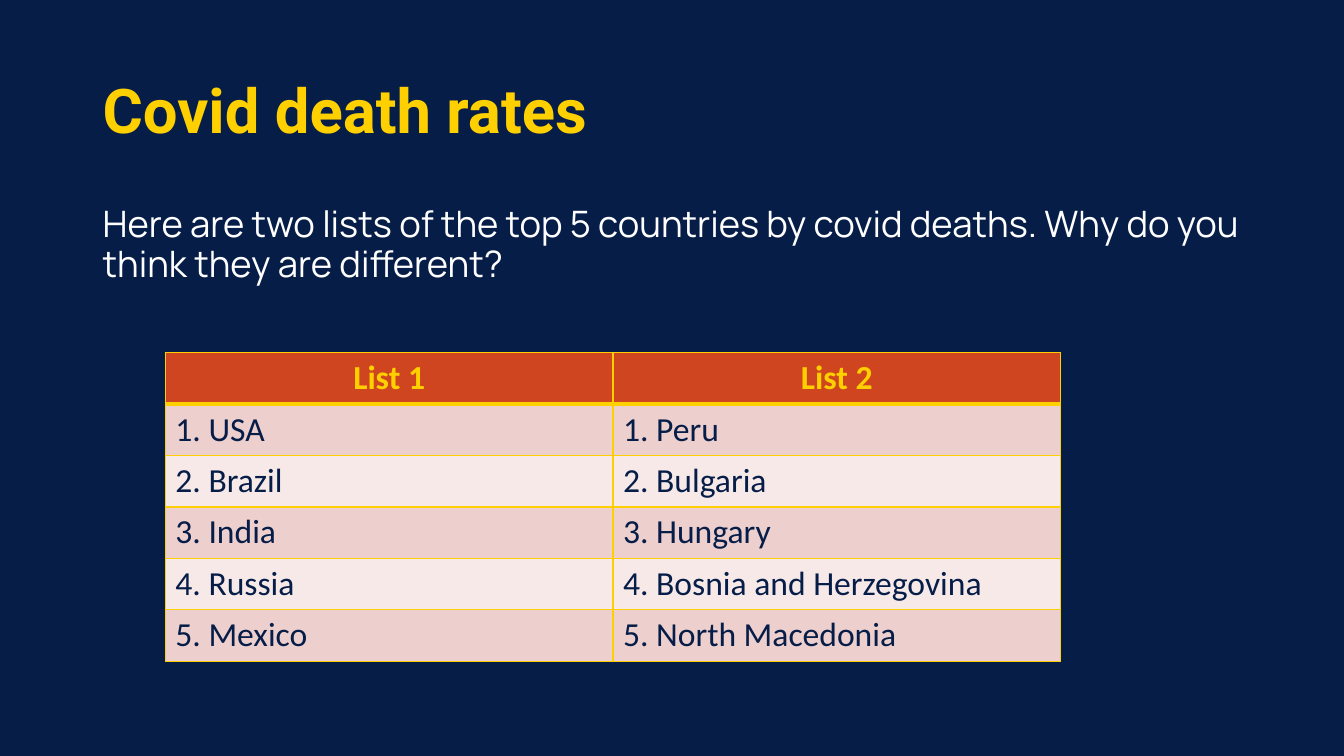
from lxml import etree
from pptx import Presentation
from pptx import util as u
from pptx.dml.color import RGBColor
from pptx.enum import text
from pptx.oxml.ns import qn

COLORS = {
    "navy": "061D48",
    "gold": "FFD000",
    "white": "FFFFFF",
    "header": "CF4520",
    "odd_row": "EDCFCD",
    "even_row": "F6E9E8",
}


def rgb(name):
    return RGBColor.from_string(COLORS[name])


class CovidSlide:
    """Holds the slide and the shared style of its elements."""

    table_font = "Calibri"
    table_size = 24
    border_color = "gold"

    def __init__(self, presentation):
        self.slide = presentation.slides.add_slide(presentation.slide_layouts[6])
        background = self.slide.background.fill
        background.solid()
        background.fore_color.rgb = rgb("navy")

    def style(self, paragraph, font, size, color, bold=False):
        for run in paragraph.runs:
            run.font.name = font
            run.font.size = u.Pt(size)
            run.font.bold = bold
            run.font.color.rgb = rgb(color)

    def text(self, words, top, height, anchor, font, size, color, bold=False):
        box = self.slide.shapes.add_textbox(
            u.Inches(0.92), u.Inches(top), u.Inches(11.5), u.Inches(height))
        frame = box.text_frame
        frame.word_wrap = True
        frame.vertical_anchor = anchor
        frame.text = words
        frame.paragraphs[0].line_spacing = 0.9
        self.style(frame.paragraphs[0], font, size, color, bold)

    def borders(self, cell, top, bottom):
        """Draw cell borders, 1 pt at the sides and as given above and below."""
        properties = cell._tc.get_or_add_tcPr()
        widths = {"a:lnL": 1, "a:lnR": 1, "a:lnT": top, "a:lnB": bottom}
        for position, (side, width) in enumerate(widths.items()):
            line = etree.Element(qn(side), w=str(u.Pt(width)))
            fill = etree.SubElement(line, qn("a:solidFill"))
            etree.SubElement(fill, qn("a:srgbClr"), val=COLORS[self.border_color])
            properties.insert(position, line)

    def table(self, rows, left, top, column_width, row_height):
        columns = len(rows[0])
        grid = self.slide.shapes.add_table(
            len(rows), columns, u.Inches(left), u.Inches(top),
            u.Inches(column_width * columns), u.Inches(row_height * len(rows))).table
        for row_number, row in enumerate(rows):
            is_header = row_number == 0
            if is_header:
                fill = "header"
            else:
                fill = "odd_row" if row_number % 2 else "even_row"
            for column_number, words in enumerate(row):
                cell = grid.cell(row_number, column_number)
                cell.text_frame.text = words
                paragraph = cell.text_frame.paragraphs[0]
                if is_header:
                    paragraph.alignment = text.PP_ALIGN.CENTER
                self.style(paragraph, self.table_font, self.table_size,
                           "gold" if is_header else "navy", is_header)
                cell.fill.solid()
                cell.fill.fore_color.rgb = rgb(fill)
                # The rows on both sides of the header rule share its width.
                self.borders(cell, top=3 if row_number == 1 else 1,
                             bottom=3 if is_header else 1)


def main():
    presentation = Presentation()
    presentation.slide_width = u.Inches(13.33)
    presentation.slide_height = u.Inches(7.5)

    covid = CovidSlide(presentation)
    covid.text("Covid death rates", 0.4, 1.45, text.MSO_ANCHOR.MIDDLE,
               "Roboto", 44, "gold", bold=True)
    covid.text("Here are two lists of the top 5 countries by covid deaths. "
               "Why do you think they are different?",
               2, 4.76, text.MSO_ANCHOR.TOP, "Manrope", 26, "white")

    list_1 = ["USA", "Brazil", "India", "Russia", "Mexico"]
    list_2 = ["Peru", "Bulgaria", "Hungary", "Bosnia and Herzegovina",
              "North Macedonia"]
    rows = [("List 1", "List 2")]
    for rank, countries in enumerate(zip(list_1, list_2), start=1):
        rows.append([f"{rank}. {country}" for country in countries])
    covid.table(rows, left=1.64, top=3.5, column_width=4.44, row_height=0.51)

    presentation.save("out.pptx")


if __name__ == "__main__":
    main()
